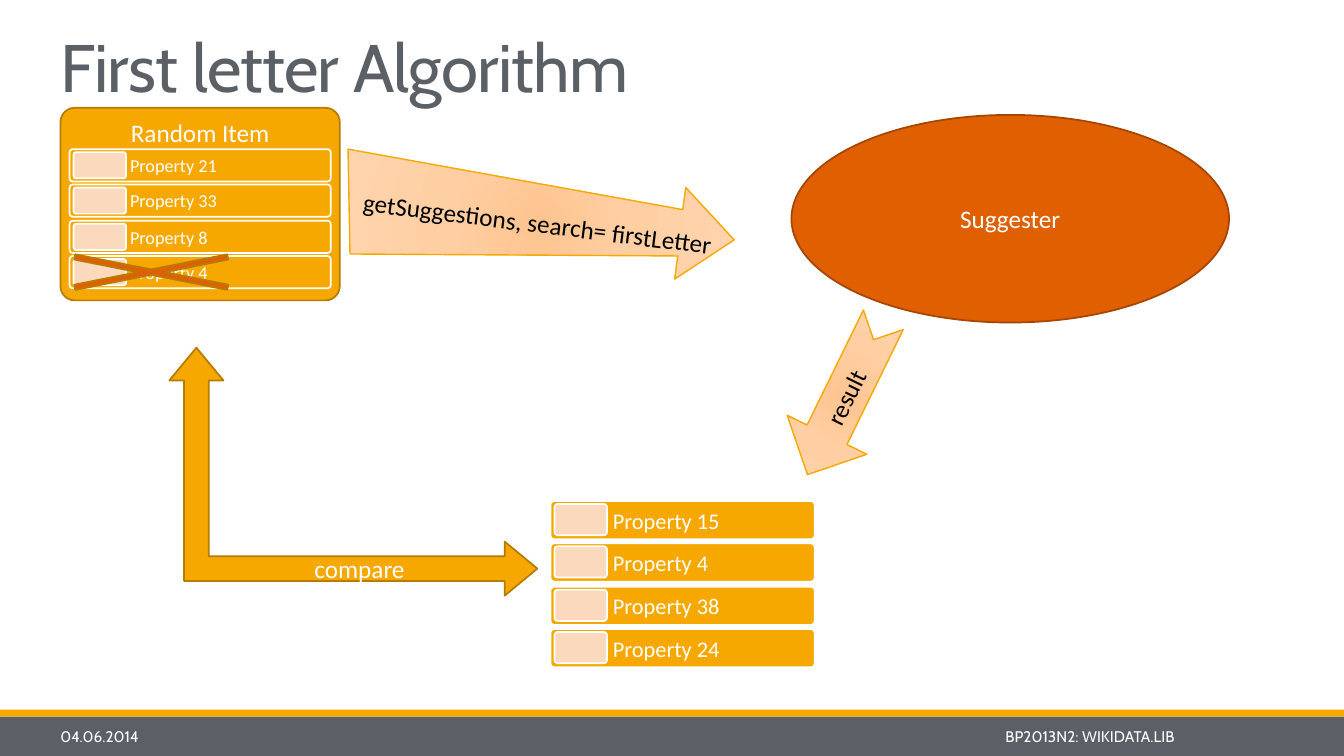
"""Build the slide on the first letter algorithm."""
import math

from lxml import etree
from pptx import Presentation
from pptx.dml.color import RGBColor
from pptx.enum import shapes, text
from pptx.oxml import ns
from pptx.util import Pt

TITLE = "First letter Algorithm"
DATE, FOOT = "04.06.2014", "BP2013N2: WIKIDATA.LIB"
LISTS = [
    dict(names=["Property 21", "Property 33", "Property 8", "Property 4"],
         left=69, top=148, last=254, width=259, high=32, thumb=26, size=13, inset=5),
    dict(names=["Property 15", "Property 4", "Property 38", "Property 24"],
         left=546, top=497, last=624, width=262, high=38, thumb=31, size=16, inset=7),
]
CALL = "getSuggestions, search= firstLetter"
ARROW = [(345, 148), (677, 208), (680, 186), (728, 238),
         (669, 277), (672, 254), (347, 252)]
PIVOT, TILT = (533, 220), 7.2
STOPS = [(0, "FDC48F"), (45, "FFCFA4"), (100, "FFD5AF")]

WHITE = RGBColor(255, 255, 255)
BLACK = RGBColor(0, 0, 0)
GREY = RGBColor(0x5A, 0x60, 0x65)
GOLD = RGBColor(0xF6, 0xA8, 0x00)
BROWN = RGBColor(0xB6, 0x7C, 0x00)
RUST = RGBColor(0xE0, 0x5F, 0x00)
DARK = RGBColor(0xA6, 0x46, 0x00)
PEACH = RGBColor(0xFB, 0xD9, 0xBD)

SCALE = 9144
KIND = shapes.MSO_SHAPE
LEFT, MID, RIGHT = text.PP_ALIGN.LEFT, text.PP_ALIGN.CENTER, text.PP_ALIGN.RIGHT
TOP, CORE, BASE = (text.MSO_ANCHOR.TOP, text.MSO_ANCHOR.MIDDLE,
                   text.MSO_ANCHOR.BOTTOM)


def px(*sizes):
    return [round(size * SCALE) for size in sizes]


def write(shape, words, size, color=WHITE, face="Calibri", align=MID,
          anchor=CORE, inset=None):
    frame = shape.text_frame
    frame.text = words
    frame.word_wrap = True
    frame.auto_size = text.MSO_AUTO_SIZE.NONE
    frame.vertical_anchor = anchor
    if inset is not None:
        frame.margin_left, frame.margin_top, frame.margin_right, \
            frame.margin_bottom = px(*[inset] * 4)
    line = frame.paragraphs[0]
    line.alignment = align
    line.font.size, line.font.name = Pt(size), face
    line.font.color.rgb = color
    return line


def edge(shape, color, width):
    shape.shadow.inherit = False
    if color is None:
        shape.line.fill.background()
    else:
        shape.line.color.rgb = color
        shape.line.width = Pt(width)


def draw(slide, kind, box, fill, line=None, adjust=()):
    shape = slide.shapes.add_shape(kind, *px(*box))
    shape.fill.solid()
    shape.fill.fore_color.rgb = fill
    edge(shape, line, 1.25)
    for i, value in enumerate(adjust):
        shape.adjustments[i] = value
    return shape


def label(slide, box, words, size, **style):
    return write(slide.shapes.add_textbox(*px(*box)), words, size, **style)


def flip(shape, axis):
    shape._element.spPr.find(ns.qn("a:xfrm")).set(axis, "1")


def glow(shape):
    shape.fill.gradient()
    grad = shape._element.spPr.find(ns.qn("a:gradFill"))
    for part in list(grad):
        grad.remove(part)
    stops = etree.SubElement(grad, ns.qn("a:gsLst"))
    for place, color in STOPS:
        stop = etree.SubElement(stops, ns.qn("a:gs"), pos=str(place * 1000))
        etree.SubElement(stop, ns.qn("a:srgbClr"), val=color)
    ring = etree.SubElement(grad, ns.qn("a:path"), path="circle")
    etree.SubElement(ring, ns.qn("a:fillToRect"),
                     {side: "100000" for side in "ltrb"})
    edge(shape, GOLD, 1)


def rows(slide, names, left, top, last, width, high, thumb, size, inset):
    step = (last - top) / (len(names) - 1)
    for i, name in enumerate(names):
        y = round(top + i * step)
        draw(slide, KIND.ROUNDED_RECTANGLE, (left, y, width, high), GOLD, WHITE, [0.1])
        label(slide, (left + 55, y, width - 55, high), name, size,
              align=LEFT, inset=inset)
        draw(slide, KIND.ROUNDED_RECTANGLE, (left + 4, y + 3, 52, thumb),
             PEACH, WHITE, [0.1])


def level(point):
    turn = math.radians(-TILT)
    x, y = point[0] - PIVOT[0], point[1] - PIVOT[1]
    return px(PIVOT[0] + x * math.cos(turn) - y * math.sin(turn),
              PIVOT[1] + x * math.sin(turn) + y * math.cos(turn))


def main():
    deck = Presentation()
    deck.slide_width, deck.slide_height = px(1333, 750)
    slide = deck.slides.add_slide(deck.slide_layouts[5])

    draw(slide, KIND.RECTANGLE, (0, 711, 1333, 39), GREY)
    draw(slide, KIND.RECTANGLE, (0, 704, 1333, 7), GOLD)
    label(slide, (50, 711, 105, 39), DATE, 11, face="Cabin", align=LEFT)
    label(slide, (159, 711, 1016, 39), FOOT, 11, face="Cabin", align=RIGHT)

    title = slide.shapes.title
    title.left, title.top, title.width, title.height = px(50, 0, 1104, 110)
    line = write(title, TITLE, 48, GREY, "Cabin", LEFT, BASE)
    line.line_spacing = 0.85
    line.runs[0].font._element.set("spc", "-50")

    card = draw(slide, KIND.ROUNDED_RECTANGLE, (60, 107, 277, 191), GOLD, BROWN, [0.074])
    write(card, "Random Item", 18, anchor=TOP)
    for group in LISTS:
        rows(slide, **group)

    oval = draw(slide, KIND.OVAL, (785, 114, 434, 206), RUST, DARK)
    write(oval, "Suggester", 18)

    first, *rest = [level(point) for point in ARROW]
    path = slide.shapes.build_freeform(*first)
    path.add_line_segments(rest, close=True)
    call = path.convert_to_shape()
    call.rotation = TILT
    glow(call)
    write(call, CALL, 18, BLACK)

    result = draw(slide, KIND.NOTCHED_RIGHT_ARROW, (753, 350, 171, 88), PEACH)
    result.rotation = 116.1
    flip(result, "flipV")
    glow(result)
    write(result, "result", 18, BLACK)

    compare = draw(slide, KIND.LEFT_UP_ARROW, (168, 345, 365, 246), GOLD, BROWN,
                   [0.099, 0.109, 0.132])
    flip(compare, "flipH")
    write(compare, "compare", 18)
    draw(slide, KIND.MATH_MULTIPLY, (4, 241, 292, 58), RUST, BROWN, [0.091])

    deck.save("out.pptx")


if __name__ == "__main__":
    main()
